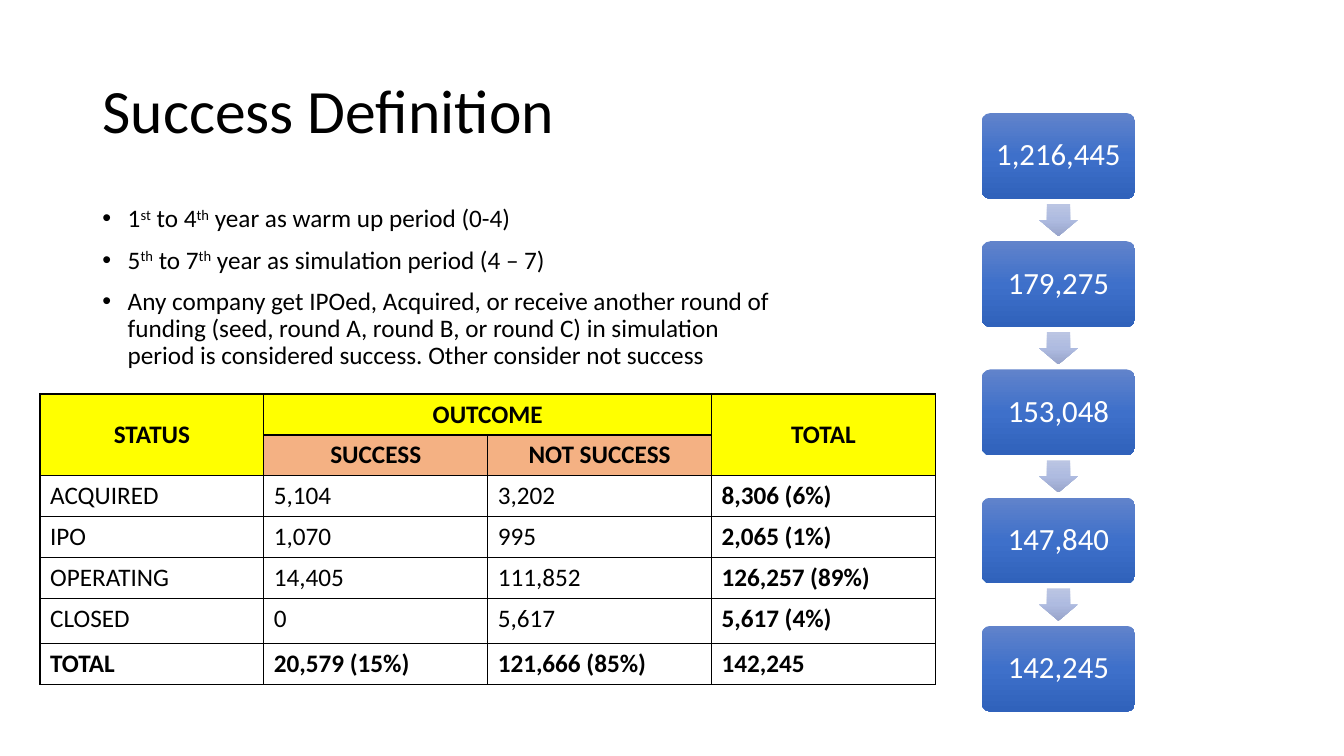
import copy
import pptx
import pptx.dml.color
import pptx.enum.shapes
import pptx.enum.text
import pptx.oxml
import pptx.oxml.ns
import pptx.util

Cm = pptx.util.Cm
Pt = pptx.util.Pt
ALIGN = pptx.enum.text.PP_ALIGN
ANCHOR = pptx.enum.text.MSO_ANCHOR
SHAPE = pptx.enum.shapes.MSO_SHAPE

TITLE = "Success Definition"
BULLETS = [
    [("1", 0), ("st", 1), (" to 4", 0), ("th", 1), (" year as warm up period (0-4)", 0)],
    [("5", 0), ("th", 1), (" to 7", 0), ("th", 1), (" year as simulation period (4 – 7)", 0)],
    [("Any company get IPOed, Acquired, or receive another round of funding "
      "(seed, round A, round B, or round C) in simulation period is considered "
      "success. Other consider not success", 0)],
]
OUTCOMES = [
    ("STATUS", "OUTCOME", "", "TOTAL"),
    ("", "SUCCESS", "NOT SUCCESS", ""),
    ("ACQUIRED", "5,104", "3,202", "8,306 (6%)"),
    ("IPO", "1,070", "995", "2,065 (1%)"),
    ("OPERATING", "14,405", "111,852", "126,257 (89%)"),
    ("CLOSED", "0", "5,617", "5,617 (4%)"),
    ("TOTAL", "20,579 (15%)", "121,666 (85%)", "142,245"),
]
MERGES = [((0, 0), (1, 0)), ((0, 1), (0, 2)), ((0, 3), (1, 3))]
FUNNEL = ["1,216,445", "179,275", "153,048", "147,840", "142,245"]

COLORS = {"text": "000000", "light": "FFFFFF", "header": "FFFF00",
          "subheader": "F4B183", "border": "000000"}
GRADIENTS = {"step": ("6183CB", "3E70CA", "3062BB"),
             "arrow": ("BBC5E3", "AEBBE0", "98A4CB")}
FONT = "Calibri"

ROW_HEIGHTS = [1.03, 1.03, 1.03, 1.03, 1.03, 1.14, 1.03]
COLUMN_WIDTH = 5.64
STEP_LEFT, STEP_TOP, STEP_WIDTH, STEP_HEIGHT, STEP_PITCH = 24.74, 2.85, 3.87, 2.16, 3.23
ARROW_WIDTH, ARROW_HEIGHT = 0.97, 0.81


def rgb(name):
    return pptx.dml.color.RGBColor.from_string(COLORS.get(name, name))


def apply(target, **values):
    for name, value in values.items():
        setattr(target, name, value)


def add_span(para, text, size, color="text", bold=False):
    span = para.add_run()
    span.text = text
    apply(span.font, name=FONT, size=Pt(size), bold=bold)
    span.font.color.rgb = rgb(color)
    return span


def add_gradient_shape(page, kind, left, top, width, height, gradient, adjustments):
    shape = page.shapes.add_shape(kind, Cm(left), Cm(top), Cm(width), Cm(height))
    shape.shadow.inherit = False
    shape.line.fill.background()
    for index, value in enumerate(adjustments):
        shape.adjustments[index] = value
    shape.fill.gradient()
    shape.fill.gradient_angle = 270
    first = shape._element.spPr.find(".//" + pptx.oxml.ns.qn("a:gs"))
    middle = copy.deepcopy(first)
    middle.set("pos", "50000")
    first.addnext(middle)
    for stop, color in zip(shape.fill.gradient_stops, GRADIENTS[gradient]):
        stop.color.rgb = rgb(color)
    return shape


def add_title(page):
    title = page.shapes.title
    apply(title, left=Cm(2.33), top=Cm(1.01), width=Cm(29.21), height=Cm(3.68))
    apply(title.text_frame, vertical_anchor=ANCHOR.MIDDLE, word_wrap=True)
    para = title.text_frame.paragraphs[0]
    apply(para, alignment=ALIGN.LEFT, line_spacing=0.9)
    add_span(para, TITLE, 44)


def add_bullets(page):
    frame = page.shapes.add_textbox(Cm(2.33), Cm(5.07), Cm(17.83), Cm(12.09)).text_frame
    frame.word_wrap = True
    for index, pieces in enumerate(BULLETS):
        para = frame.add_paragraph() if index else frame.paragraphs[0]
        apply(para, line_spacing=0.9, space_before=Pt(10))
        properties = para._p.get_or_add_pPr()
        properties.set("marL", str(Cm(0.64)))
        properties.set("indent", str(-Cm(0.64)))
        for tag, key, value in (("a:buFont", "typeface", "Arial"), ("a:buChar", "char", "•")):
            bullet = pptx.oxml.ns.qn(tag)
            properties.append(properties.makeelement(bullet, {key: value}))
        for text, raised in pieces:
            span = add_span(para, text, 18)
            if raised:
                span._r.get_or_add_rPr().set("baseline", "30000")


def add_borders(cell):
    properties = cell._tc.get_or_add_tcPr()
    for index, side in enumerate(("lnL", "lnR", "lnT", "lnB")):
        border = pptx.oxml.parse_xml(
            f'<a:{side} {pptx.oxml.ns.nsdecls("a")} w="12700"><a:solidFill>'
            f'<a:srgbClr val="{COLORS["border"]}"/></a:solidFill></a:{side}>')
        properties.insert(index, border)


def add_outcomes(page):
    rows, columns = len(OUTCOMES), len(OUTCOMES[0])
    table = page.shapes.add_table(rows, columns, Cm(1.01), Cm(9.93),
                                  Cm(COLUMN_WIDTH * columns), Cm(sum(ROW_HEIGHTS))).table
    apply(table, first_row=False, horz_banding=False)
    for column in table.columns:
        column.width = Cm(COLUMN_WIDTH)
    for row, height in zip(table.rows, ROW_HEIGHTS):
        row.height = Cm(height)
    for start, end in MERGES:
        table.cell(*start).merge(table.cell(*end))
    for r, values in enumerate(OUTCOMES):
        for c, text in enumerate(values):
            cell = table.cell(r, c)
            heading = r < 2
            inner = r == 1 and c in (1, 2)
            cell.fill.solid()
            cell.fill.fore_color.rgb = rgb(
                "subheader" if inner else "header" if heading else "light")
            add_borders(cell)
            if not text:
                continue
            if cell.is_merge_origin and cell.span_height > 1:
                cell.vertical_anchor = ANCHOR.MIDDLE
            para = cell.text_frame.paragraphs[0]
            para.alignment = ALIGN.CENTER if heading else ALIGN.LEFT
            add_span(para, text, 18, bold=heading or r == rows - 1 or c == columns - 1)


def add_funnel(page):
    gap = STEP_PITCH - STEP_HEIGHT
    for index, count in enumerate(FUNNEL):
        top = STEP_TOP + index * STEP_PITCH
        if index:
            add_gradient_shape(page, SHAPE.DOWN_ARROW,
                               STEP_LEFT + (STEP_WIDTH - ARROW_WIDTH) / 2,
                               top - (gap + ARROW_HEIGHT) / 2,
                               ARROW_WIDTH, ARROW_HEIGHT, "arrow", (0.6, 0.5))
        step = add_gradient_shape(page, SHAPE.ROUNDED_RECTANGLE, STEP_LEFT, top,
                                  STEP_WIDTH, STEP_HEIGHT, "step", (0.1,))
        margin = Cm(0.23)
        apply(step.text_frame, word_wrap=True, vertical_anchor=ANCHOR.MIDDLE,
              margin_left=margin, margin_right=margin,
              margin_top=margin, margin_bottom=margin)
        para = step.text_frame.paragraphs[0]
        apply(para, alignment=ALIGN.CENTER, line_spacing=0.9)
        add_span(para, count, 22, "light")


def main():
    deck = pptx.Presentation()
    apply(deck, slide_width=Cm(33.87), slide_height=Cm(19.05))
    page = deck.slides.add_slide(deck.slide_layouts[5])
    add_title(page)
    add_bullets(page)
    add_funnel(page)
    add_outcomes(page)
    deck.save("out.pptx")


if __name__ == "__main__":
    main()
